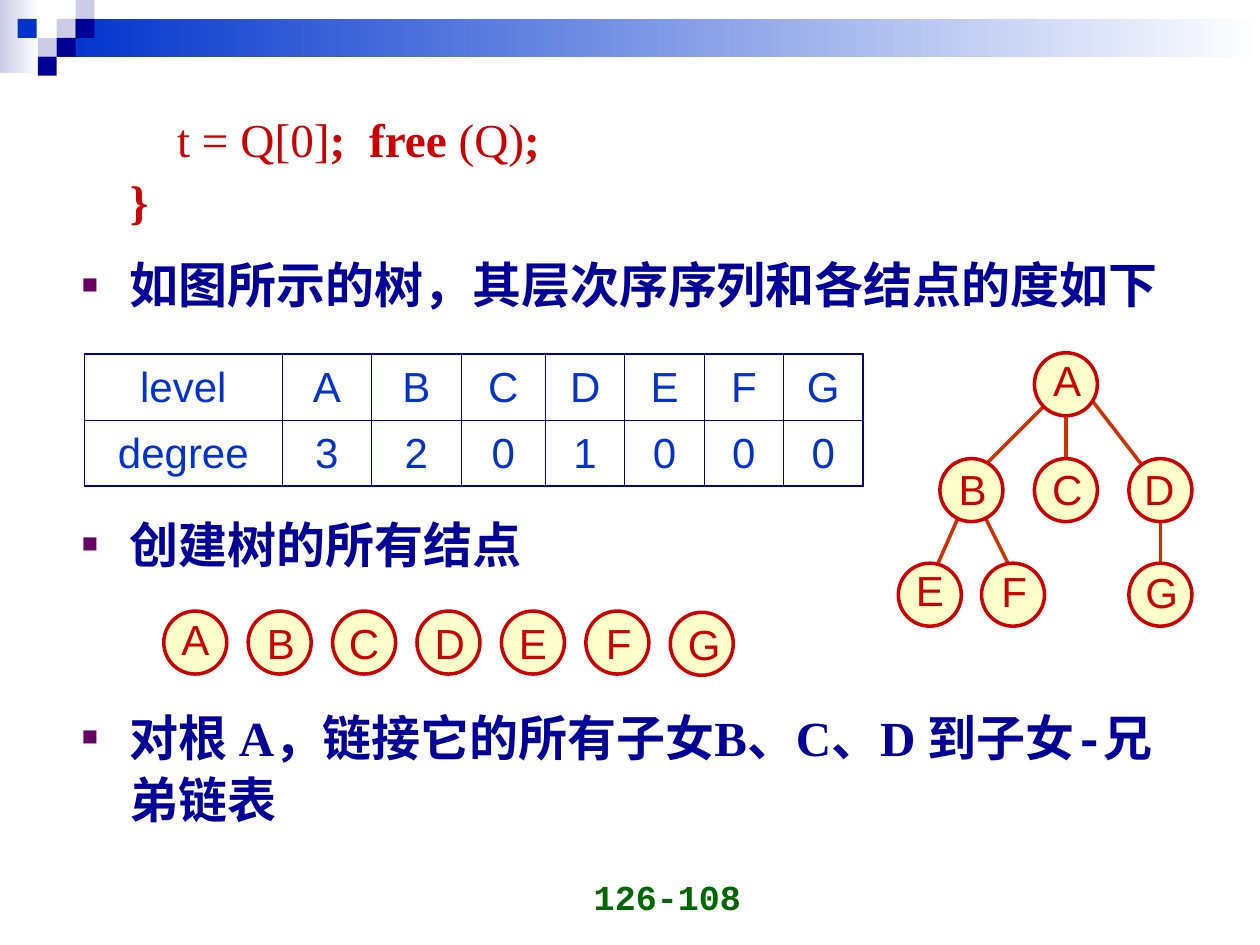
from lxml import etree
from pptx import Presentation
from pptx import util as u
from pptx.dml.color import RGBColor
from pptx.enum import shapes, text
from pptx.oxml.ns import qn

WHITE = RGBColor(0xFF, 0xFF, 0xFF)
LAVENDER = RGBColor(0xCC, 0xCC, 0xE6)
BLUE = RGBColor(0x00, 0x33, 0xCC)
NAVY = RGBColor(0x00, 0x00, 0x99)
RED = RGBColor(0xCC, 0x00, 0x00)
RUST = RGBColor(0xCC, 0x33, 0x00)
CREAM = RGBColor(0xFF, 0xFF, 0xCC)
GREEN = RGBColor(0x00, 0x66, 0x00)
PURPLE = RGBColor(0x66, 0x00, 0x66)

NODE = 0.5
LABEL_WIDTH = dict(A=0.42, B=0.42, C=0.44, D=0.44, E=0.42, F=0.4, G=0.46)
CODE = dict(name="Times New Roman", size=u.Pt(27), bold=True, color=RED)
BODY = dict(name="Times New Roman", size=u.Pt(28), bold=True, color=NAVY)
LABEL = dict(name="Arial", size=u.Pt(24), bold=False, color=RED)
CELL = dict(LABEL, color=BLUE)
PAGE = dict(name="Courier New", size=u.Pt(20), bold=True, color=GREEN)


def inches(*values):
    return [u.Inches(value) for value in values]


class SlideBuilder:
    def __init__(self, slide):
        self.slide = slide
        self.target = slide.shapes

    def start_group(self):
        self.target = self.slide.shapes.add_group_shape().shapes

    def end_group(self):
        self.target = self.slide.shapes

    def style(self, font, values):
        for name, value in values.items():
            if name == "color":
                font.color.rgb = value
            else:
                setattr(font, name, value)

    def block(self, box, *colors):
        shape = self.target.add_shape(shapes.MSO_SHAPE.RECTANGLE, *inches(*box))
        shape.shadow.inherit = False
        shape.line.fill.background()
        if len(colors) == 1:
            shape.fill.solid()
            shape.fill.fore_color.rgb = colors[0]
        else:
            shape.fill.gradient()
            shape.fill.gradient_angle = 0
            for stop, color in zip(shape.fill.gradient_stops, colors):
                stop.color.rgb = color

    def edge(self, start, end):
        line = self.target.add_connector(shapes.MSO_CONNECTOR.STRAIGHT, *inches(*start, *end))
        line.line.color.rgb = RUST
        line.line.width = u.Pt(2)
        etree.SubElement(line._element.spPr, qn("a:effectLst"))

    def circle(self, left, top):
        shape = self.target.add_shape(shapes.MSO_SHAPE.OVAL, *inches(left, top, NODE, NODE))
        shape.shadow.inherit = False
        shape.fill.solid()
        shape.fill.fore_color.rgb = CREAM
        shape.line.color.rgb = RED
        shape.line.width = u.Pt(2)

    def text_box(self, content, box, style, align, anchor, wrap=True):
        frame = self.target.add_textbox(*inches(*box)).text_frame
        frame.word_wrap = wrap
        frame.vertical_anchor = anchor
        paragraph = frame.paragraphs[0]
        paragraph.alignment = align
        run = paragraph.add_run()
        run.text = content
        self.style(run.font, style)

    def nodes(self, places):
        """Draw circles, then their letters; places: letter, circle corner, label corner."""
        for _, circle, _ in places:
            self.circle(*circle)
        for letter, _, corner in places:
            self.text_box(letter, (*corner, LABEL_WIDTH[letter], NODE), LABEL,
                          text.PP_ALIGN.CENTER, text.MSO_ANCHOR.MIDDLE, wrap=False)

    def body(self, box, paragraphs):
        placeholder = self.slide.placeholders[1]
        placeholder.left, placeholder.top, placeholder.width, placeholder.height = inches(*box)
        frame = placeholder.text_frame
        frame.auto_size = text.MSO_AUTO_SIZE.NONE
        for index, (space, bulleted, runs) in enumerate(paragraphs):
            paragraph = frame.add_paragraph() if index else frame.paragraphs[0]
            paragraph.line_spacing = 1.05
            paragraph.space_before = u.Pt(space)
            self.bullet(paragraph, bulleted)
            for content, style in runs:
                run = paragraph.add_run()
                run.text = content
                self.style(run.font, style)

    def bullet(self, paragraph, shown):
        properties = paragraph._p.get_or_add_pPr()
        indent = u.Inches(0.38)
        properties.set("marL", str(indent))
        properties.set("indent", str(-indent if shown else 0))
        if not shown:
            etree.SubElement(properties, qn("a:buNone"))
            return
        color = etree.SubElement(properties, qn("a:buClr"))
        etree.SubElement(color, qn("a:srgbClr"), val=str(PURPLE))
        etree.SubElement(properties, qn("a:buSzPct"), val="55000")
        etree.SubElement(properties, qn("a:buFont"), typeface="Arial")
        etree.SubElement(properties, qn("a:buChar"), char="■")

    def table(self, box, widths, rows):
        table = self.target.add_table(len(rows), len(widths), *inches(*box)).table
        table.first_row = table.horz_banding = False
        for column, width in zip(table.columns, widths):
            column.width = u.Inches(width)
        last_row, last_column = len(rows) - 1, len(widths) - 1
        for r, row in enumerate(rows):
            for c, content in enumerate(row):
                cell = table.cell(r, c)
                self.borders(cell, lnL=c == 0, lnR=c == last_column,
                             lnT=r == 0, lnB=r == last_row)
                cell.fill.background()
                cell.vertical_anchor = text.MSO_ANCHOR.MIDDLE
                paragraph = cell.text_frame.paragraphs[0]
                paragraph.alignment = text.PP_ALIGN.CENTER
                paragraph.line_spacing = 1.05
                run = paragraph.add_run()
                run.text = content
                self.style(run.font, CELL)

    def borders(self, cell, **outer_sides):
        properties = cell._tc.get_or_add_tcPr()
        for side, outer in outer_sides.items():
            width = u.Pt(1.08 if outer else 0.45)
            line = etree.SubElement(properties, qn("a:" + side), w=str(width))
            fill = etree.SubElement(line, qn("a:solidFill"))
            etree.SubElement(fill, qn("a:srgbClr"), val=str(NAVY))


def main():
    presentation = Presentation()
    presentation.slide_width, presentation.slide_height = inches(10, 7.5)
    slide = presentation.slides.add_slide(presentation.slide_layouts[1])
    title = slide.shapes.title._element
    title.getparent().remove(title)
    builder = SlideBuilder(slide)

    # Header band and checker squares
    builder.block((0, 0, 0.31, 0.58), LAVENDER, WHITE)
    builder.block((0.45, 0.15, 9.55, 0.3), BLUE, WHITE)
    for left, top, color in [(0.45, 0.15, LAVENDER), (0.6, 0, LAVENDER), (0.6, 0.15, NAVY),
                             (0.3, 0.3, LAVENDER), (0.14, 0.15, BLUE), (0.45, 0.3, NAVY),
                             (0.3, 0.45, NAVY)]:
        builder.block((left, top, 0.15, 0.15), color)

    # Page number
    builder.text_box("126-108", (3.65, 6.83, 2.33, 0.5), PAGE,
                     text.PP_ALIGN.RIGHT, text.MSO_ANCHOR.BOTTOM)

    # Code and bullets
    plain = dict(CODE, bold=False)
    builder.body((0.55, 0.8, 8.98, 6.06), [
        (0, False, [("    t = Q[0]", plain), (";  free ", CODE), ("(Q)", plain), (";", CODE)]),
        (1.6, False, [("}", CODE)]),
        (13, True, [("如图所示的树，其层次序序列和各结点的度如下", BODY)]),
        (113, True, [("创建树的所有结点", BODY)]),
        (75, True, [("对根 A，链接它的所有子女B、C、D 到子女", BODY),
                    ("-", dict(BODY, name="Courier New")), ("兄弟链表", BODY)]),
    ])

    # Tree
    builder.start_group()
    for start, end in [((9.21, 4.05), (9.21, 4.63)), ((8.63, 3.13), (9.21, 3.88)),
                       ((7.79, 4.05), (8.04, 4.55)), ((7.63, 4.05), (7.41, 4.55)),
                       ((8.29, 3.22), (7.79, 3.72)), ((8.46, 3.22), (8.46, 3.72))]:
        builder.edge(start, end)
    builder.nodes([
        ("A", (8.21, 2.8), (8.26, 2.76)),
        ("B", (7.46, 3.64), (7.51, 3.63)),
        ("C", (8.21, 3.64), (8.25, 3.63)),
        ("D", (8.96, 3.64), (8.98, 3.63)),
        ("E", (7.13, 4.47), (7.17, 4.43)),
        ("F", (7.79, 4.47), (7.85, 4.44)),
        ("G", (8.96, 4.47), (8.99, 4.45)),
    ])
    builder.end_group()

    # Degree table
    builder.table((0.67, 2.81, 6.18, 1.05), [1.57, 0.71, 0.71, 0.67] + [0.63] * 4,
                  [["level", *"ABCDEFG"], ["degree", *"3201000"]])

    # Row of separate nodes
    builder.start_group()
    label_lefts = [1.34, 2.02, 2.67, 3.35, 4.02, 4.71, 5.36]
    label_tops = [4.82] + [4.85] * 5 + [4.86]
    builder.nodes([
        (letter, (1.3 + 0.67 * index, 4.86 if letter == "G" else 4.85), corner)
        for index, (letter, corner) in enumerate(zip("ABCDEFG", zip(label_lefts, label_tops)))
    ])
    builder.end_group()

    presentation.save("out.pptx")


if __name__ == "__main__":
    main()
